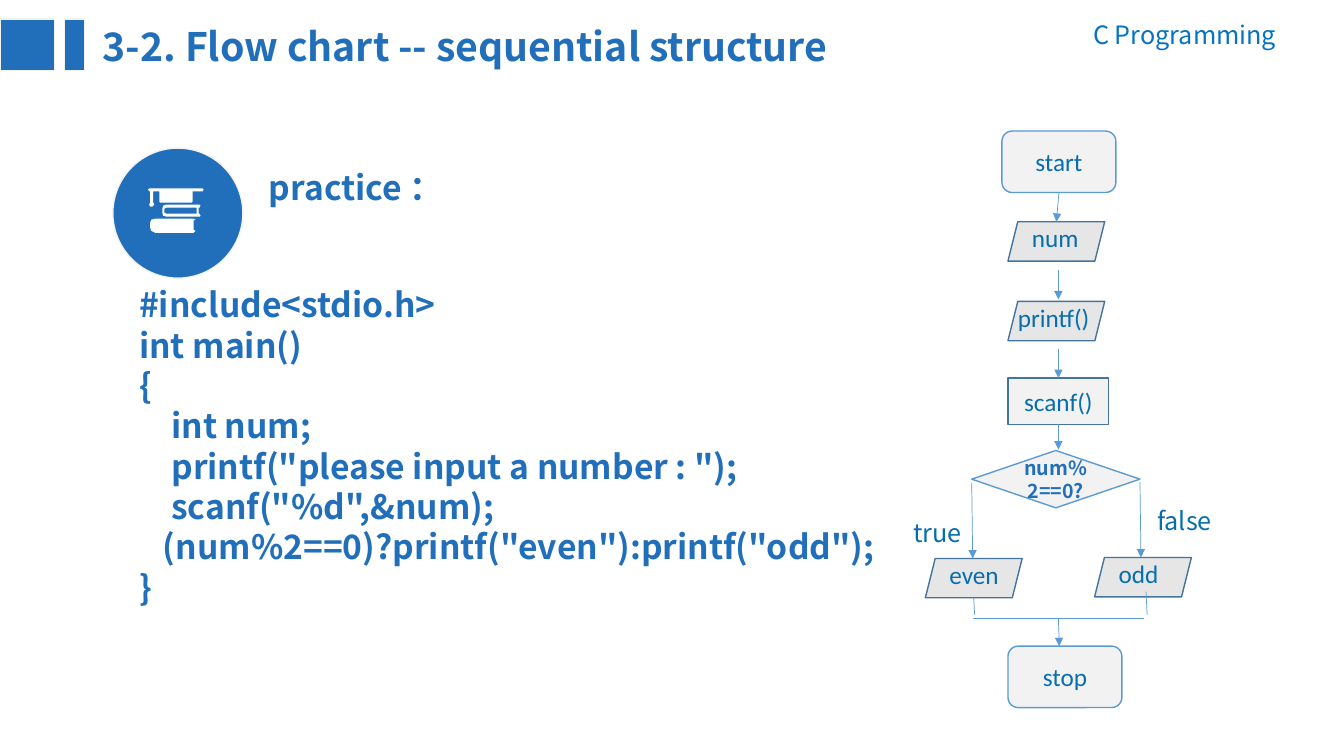
import pptx
import pptx.dml.color
import pptx.enum.shapes
import pptx.enum.text
import pptx.oxml.ns
import pptx.util
from lxml import etree

Pt = pptx.util.Pt
SHAPE = pptx.enum.shapes.MSO_SHAPE
ALIGN = pptx.enum.text.PP_ALIGN
ANCHOR = pptx.enum.text.MSO_ANCHOR

COLORS = {"brand": "216FBA", "header": "0573C2", "label": "076EAD", "arrow": "5B9BD5",
          "edge": "43739E", "step": "F2F2F2", "data": "E7E6E6", "white": "FFFFFF"}
NOTO = "Noto Sans CJK SC"
STYLES = {
    "title": {"name": NOTO, "size": Pt(28), "bold": True, "color": "brand"},
    "heading": {"name": NOTO, "size": Pt(24), "bold": True, "color": "brand"},
    "condition": {"name": NOTO, "size": Pt(14), "bold": True, "color": "brand"},
    "header": {"name": NOTO, "size": Pt(18), "bold": False, "color": "header"},
    "branch": {"name": NOTO, "size": Pt(18), "bold": False, "color": "label"},
    "step": {"name": "Calibri", "size": Pt(18), "bold": False, "color": "label"},
}
CODE = [("#include<stdio.h>", 0), ("int main()", 0), ("{", 0), ("int num;", 23),
        ('printf("please input a number : ");', 23), ('scanf("%d",&num);', 23),
        ('(num%2==0)?printf("even"):printf("odd");', 17), ("}", 0)]
ICON_CONTOURS = [
    [(194, 229), (192, 231), (154, 231), (150, 229), (149, 226), (149, 221), (150, 218),
     (154, 217), (192, 217), (194, 218), (192, 219), (192, 228)],
    [(199, 214), (198, 215), (165, 215), (162, 214), (161, 211), (161, 207), (162, 204),
     (165, 203), (198, 203), (199, 204), (198, 206), (197, 206), (197, 212), (198, 212)],
    [(165, 212), (195, 212), (195, 206), (165, 206), (163, 207), (163, 211)],
    [(201, 187), (148, 187), (147, 188), (148, 190), (149, 190), (149, 201), (148, 203),
     (149, 205), (151, 205), (153, 203), (152, 201), (152, 190), (158, 190), (158, 200),
     (159, 201), (190, 201), (191, 200), (191, 190), (201, 190), (202, 188)],
]


def rgb(name):
    return pptx.dml.color.RGBColor.from_string(COLORS[name])


def set_attributes(target, values):
    for name, value in values.items():
        setattr(target, name, value)


def add_element(parent, tag, **attributes):
    return etree.SubElement(parent, pptx.oxml.ns.qn(tag), attributes)


def place(shape, left, top, width, height):
    set_attributes(shape, {"left": Pt(left), "top": Pt(top),
                           "width": Pt(width), "height": Pt(height)})


def write(paragraph, text, style, alignment=ALIGN.LEFT, spacing=1.2):
    values = dict(STYLES[style])
    color = values.pop("color")
    run = paragraph.add_run()
    run.text = text
    set_attributes(run.font, values)
    run.font.color.rgb = rgb(color)
    add_element(run.font._element, "a:ea", typeface=values["name"])
    paragraph.alignment = alignment
    if values["name"] == NOTO:
        paragraph.line_spacing = Pt(values["size"].pt * spacing)


def paint(shape, fill, line=None):
    shape.shadow.inherit = False
    shape.fill.solid()
    shape.fill.fore_color.rgb = rgb(fill)
    if line is None:
        shape.line.fill.background()
    else:
        shape.line.color.rgb = rgb(line)
        shape.line.width = Pt(1)


def add_box(shapes, kind, box, fill, line, text=None, style="step"):
    shape = shapes.add_shape(kind, *map(Pt, box))
    paint(shape, fill, line)
    if text:
        set_attributes(shape.text_frame, {"word_wrap": True, "vertical_anchor": ANCHOR.MIDDLE})
        write(shape.text_frame.paragraphs[0], text, style, ALIGN.CENTER)
    return shape


def add_label(slide, text, box, style, alignment=ALIGN.LEFT, spacing=1.2):
    frame = slide.shapes.add_textbox(*map(Pt, box)).text_frame
    frame.word_wrap = True
    write(frame.paragraphs[0], text, style, alignment, spacing)


def add_line(slide, start, end, arrow=True):
    connector = slide.shapes.add_connector(
        pptx.enum.shapes.MSO_CONNECTOR.STRAIGHT, *map(Pt, start + end))
    connector.line.color.rgb = rgb("arrow")
    connector.line.width = Pt(0.5)
    if arrow:
        add_element(connector.line._get_or_add_ln(), "a:tailEnd", type="triangle")
    add_element(connector._element.spPr, "a:effectLst")
    return connector


def add_data(slide, text, left, top, inset=10.1):
    add_box(slide.shapes, SHAPE.PARALLELOGRAM, (left, top, 69.1, 28.1), "data", "edge")
    add_label(slide, text, (left + inset, top - 3.1, 69.1 - 1.6 * inset, 28.8), "step")


def add_title(slide):
    title = slide.shapes.title
    place(title, 66.2, 12.2, 597, 41)
    title.text_frame.vertical_anchor = ANCHOR.TOP
    write(title.text_frame.paragraphs[0], "3-2. Flow chart -- sequential structure", "title")
    for left, width in ((0, 38.9), (46.1, 14.4)):
        add_box(slide.shapes, SHAPE.RECTANGLE, (left, 13.7, width, 36.7), "brand", "step")


def add_code(slide):
    body = slide.placeholders[1]
    place(body, 92.2, 199.4, 544.3, 268.6)
    frame = body.text_frame
    frame.auto_size = pptx.enum.text.MSO_AUTO_SIZE.NONE
    for index, (text, indent) in enumerate(CODE):
        paragraph = frame.add_paragraph() if index else frame.paragraphs[0]
        write(paragraph, text, "heading")
        set_attributes(paragraph, {"space_before": Pt(0), "space_after": Pt(0)})
        properties = paragraph._p.get_or_add_pPr()
        properties.set("marL", str(Pt(indent)))
        properties.set("indent", "0")
        add_element(properties, "a:buNone")


def add_study_icon(slide):
    group = slide.shapes.add_group_shape()
    add_box(group.shapes, SHAPE.OVAL, (80.6, 105.8, 92.9, 92.9), "brand", "step")
    builder = group.shapes.build_freeform(*ICON_CONTOURS[0][0], scale=Pt(0.72))
    builder.add_line_segments(ICON_CONTOURS[0][1:], close=True)
    for contour in ICON_CONTOURS[1:]:
        builder.move_to(*contour[0])
        builder.add_line_segments(contour[1:], close=True)
    paint(builder.convert_to_shape(), "white")


def add_flow_chart(slide):
    shapes = slide.shapes
    terminal = SHAPE.FLOWCHART_ALTERNATE_PROCESS
    start = add_box(shapes, terminal, (715.7, 93.6, 81.4, 43.9), "step", "arrow", "start")
    add_box(shapes, terminal, (720, 461.5, 81.4, 43.9), "step", "arrow", "stop")
    scan = add_box(shapes, SHAPE.FLOWCHART_PROCESS, (720, 270, 72, 33.1), "step", "edge", "scanf()")
    add_box(shapes, SHAPE.FLOWCHART_DECISION, (694.1, 321.8, 120.2, 41), "step", "arrow",
            "num%2==0?", "condition")
    add_data(slide, "num", 720, 158.4)
    add_data(slide, "printf()", 720, 215.3, 0)
    add_data(slide, "even", 661, 398.9)
    add_data(slide, "odd", 781.9, 398.2)

    add_line(slide, (754.6, 137.5), (754.6, 158.4)).begin_connect(start, 2)
    add_line(slide, (756, 193), (756, 213.8))
    add_line(slide, (756, 249.1), (756, 270)).end_connect(scan, 0)
    add_line(slide, (756, 303.1), (756, 321.1)).begin_connect(scan, 2)
    add_line(slide, (694.1, 344.9), (694.8, 398.9))
    add_line(slide, (814.3, 344.2), (815, 398.2))
    add_line(slide, (756, 442.1), (756.7, 461.5))
    add_line(slide, (694.8, 441.4), (817.2, 441.4), arrow=False)
    add_line(slide, (696.2, 439.2), (695.5, 426.2), arrow=False)
    add_line(slide, (819.4, 439.2), (818.6, 422.6), arrow=False)

    add_label(slide, "true", (645.1, 365.8, 70.6, 28.8), "branch")
    add_label(slide, "false", (819.4, 357.1, 70.6, 28.8), "branch")


def main():
    presentation = pptx.Presentation()
    set_attributes(presentation, {"slide_width": Pt(960), "slide_height": Pt(540)})
    slide = presentation.slides.add_slide(presentation.slide_layouts[1])
    add_title(slide)
    add_label(slide, "C Programming", (702.7, 10.1, 216, 28.8), "header", ALIGN.RIGHT)
    add_label(slide, "practice ：", (185, 108.7, 289.4, 41.8), "heading", spacing=1.5)
    add_study_icon(slide)
    add_code(slide)
    add_flow_chart(slide)
    presentation.save("out.pptx")


if __name__ == "__main__":
    main()
